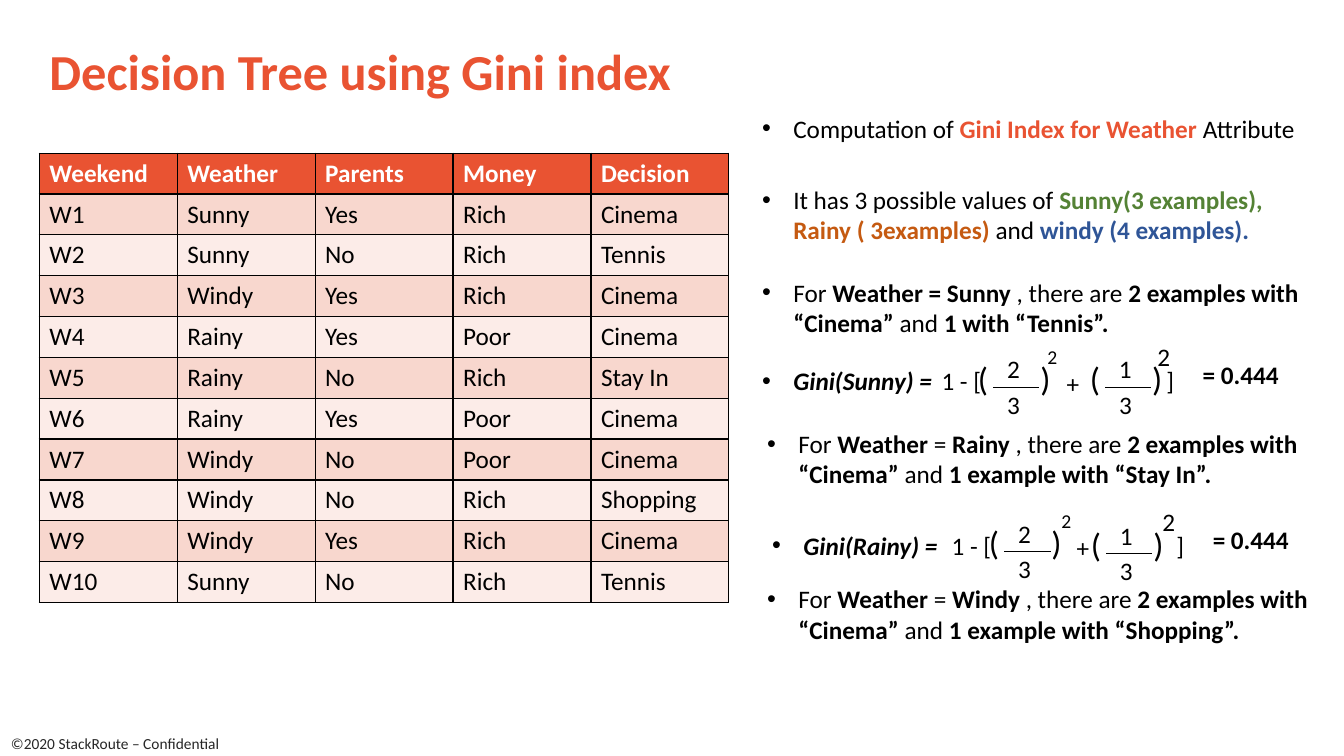
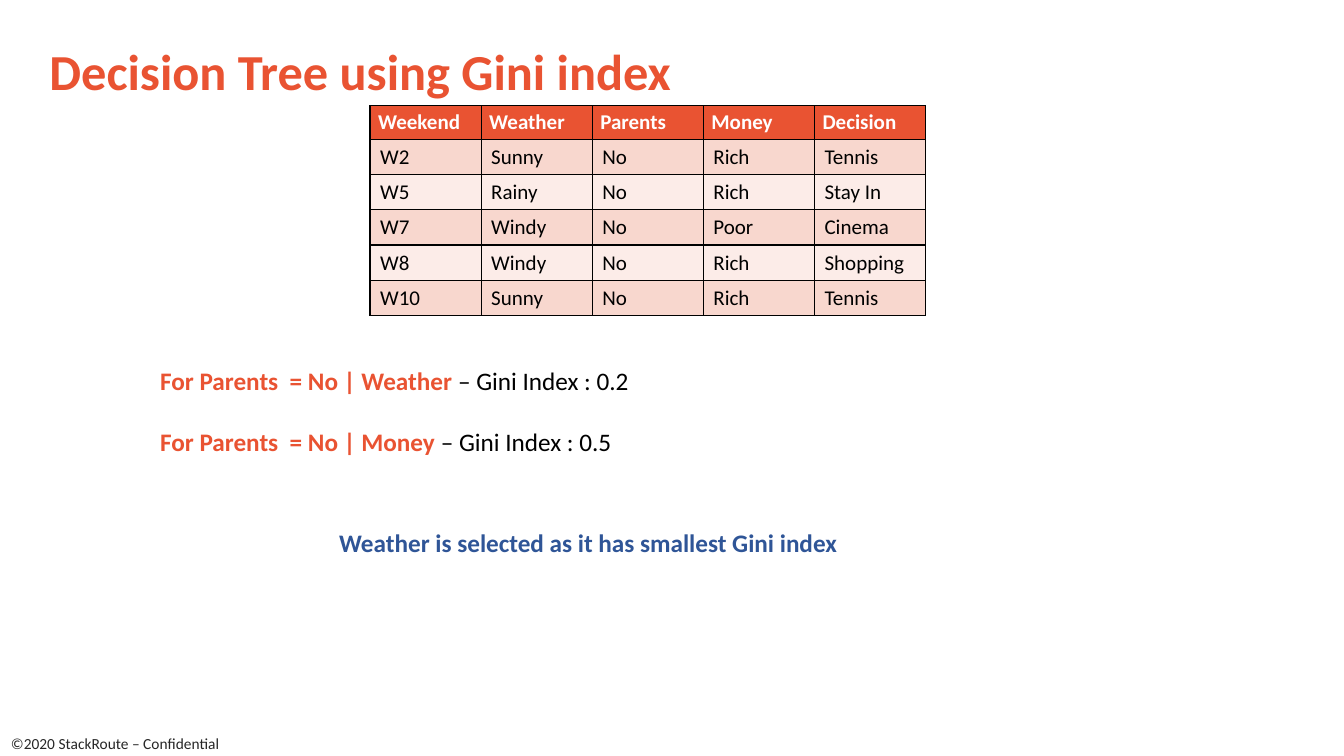
from lxml import etree
from pptx import Presentation
from pptx.dml.color import RGBColor
from pptx.enum.shapes import MSO_CONNECTOR
from pptx.enum.text import MSO_ANCHOR, MSO_AUTO_SIZE, PP_ALIGN
from pptx.oxml.ns import qn
from pptx.util import Inches, Pt

STRAIGHT = MSO_CONNECTOR.STRAIGHT
TOP = MSO_ANCHOR.TOP
GROW = MSO_AUTO_SIZE.SHAPE_TO_FIT_TEXT
LEFT, CENTER = PP_ALIGN.LEFT, PP_ALIGN.CENTER

ORANGE = RGBColor(0xE9, 0x53, 0x32)
DARK_BAND = RGBColor(0xF8, 0xD7, 0xCE)
LIGHT_BAND = RGBColor(0xFC, 0xEC, 0xE8)
GREEN = RGBColor(0x54, 0x82, 0x35)
RUST = RGBColor(0xC5, 0x5A, 0x11)
BLUE = RGBColor(0x2F, 0x55, 0x97)
BLACK = RGBColor(0, 0, 0)
WHITE = RGBColor(0xFF, 0xFF, 0xFF)
GRAY = RGBColor(0x26, 0x26, 0x26)

BODY = {"name": "Calibri", "size": Pt(18), "bold": False, "italic": False}
BOLD = {"bold": True}
TITLE = "Decision Tree using Gini index"
FOOTER = "©2020 StackRoute – Confidential"

HEADINGS = ("Weekend", "Weather", "Parents", "Money", "Decision")
WEEKENDS = (
    ("W1", "Sunny", "Yes", "Rich", "Cinema"),
    ("W2", "Sunny", "No", "Rich", "Tennis"),
    ("W3", "Windy", "Yes", "Rich", "Cinema"),
    ("W4", "Rainy", "Yes", "Poor", "Cinema"),
    ("W5", "Rainy", "No", "Rich", "Stay In"),
    ("W6", "Rainy", "Yes", "Poor", "Cinema"),
    ("W7", "Windy", "No", "Poor", "Cinema"),
    ("W8", "Windy", "No", "Rich", "Shopping"),
    ("W9", "Windy", "Yes", "Rich", "Cinema"),
    ("W10", "Sunny", "No", "Rich", "Tennis"),
)


class Deck:
    """Hold the shared style and the slide being built."""

    def __init__(self):
        self.presentation = Presentation()
        self.presentation.slide_width = Inches(13.33)
        self.presentation.slide_height = Inches(7.5)

    def new_slide(self):
        """Start a slide with its title and footer."""
        layout = self.presentation.slide_layouts[5]
        self.slide = self.presentation.slides.add_slide(layout)
        self.shapes = self.slide.shapes
        title = self.shapes.title
        frame = {"left": 0.39, "top": 0.35, "width": 11.57, "height": 0.71}
        for side, length in frame.items():
            setattr(title, side, Inches(length))
        self.frame(title.text_frame)
        heading = title.text_frame.paragraphs[0]
        heading.alignment = LEFT
        self.run(heading, TITLE, size=Pt(36), bold=True, color=ORANGE)
        self.text(0.01, 7.23, 2.29, 0.29, FOOTER, wrap=False,
                  size=Pt(11), color=GRAY)

    def frame(self, text_frame, wrap=True):
        """Set how a text frame wraps, grows and anchors."""
        values = {"word_wrap": wrap, "auto_size": GROW,
                  "vertical_anchor": TOP}
        for name, value in values.items():
            setattr(text_frame, name, value)

    def run(self, paragraph, words, color=BLACK, **changes):
        """Add one formatted run."""
        run = paragraph.add_run()
        run.text = words
        for name, value in {**BODY, **changes}.items():
            setattr(run.font, name, value)
        run.font.color.rgb = color

    def text(self, left, top, width, height, words, wrap=True, **changes):
        """Add a box with one uniformly formatted line."""
        return self.rich(left, top, width, height, [[(words, changes)]],
                         wrap)

    def rich(self, left, top, width, height, lines, wrap=True):
        """Add a box with one paragraph for each list of runs."""
        box = self.shapes.add_textbox(Inches(left), Inches(top),
                                      Inches(width), Inches(height))
        self.frame(box.text_frame, wrap)
        for index, runs in enumerate(lines):
            if index:
                paragraph = box.text_frame.add_paragraph()
                paragraph.space_before = Pt(22)
            else:
                paragraph = box.text_frame.paragraphs[0]
            for words, changes in runs:
                self.run(paragraph, words, **changes)
        return box

    def bullet(self, left, top, runs, width=5.68, height=0.71):
        """Add a box holding one bulleted paragraph."""
        box = self.rich(left, top, width, height, [runs])
        properties = box.text_frame.paragraphs[0]._p.get_or_add_pPr()
        properties.set("marL", str(Inches(0.31)))
        properties.set("indent", str(-Inches(0.31)))
        etree.SubElement(properties, qn("a:buFont"), typeface="Arial")
        etree.SubElement(properties, qn("a:buChar"), char="•")

    def table(self, left, top, width, height, rows, size, margins):
        """Add a banded table with a black grid."""
        grid = self.shapes.add_table(
            len(rows) + 1, len(HEADINGS), Inches(left), Inches(top),
            Inches(width), Inches(height)).table
        for r, row in enumerate([HEADINGS, *rows]):
            fill = (DARK_BAND if r % 2 else LIGHT_BAND) if r else ORANGE
            for c, words in enumerate(row):
                cell = grid.cell(r, c)
                if r == 0:
                    for side, length in margins.items():
                        setattr(cell, side, Inches(length))
                self.borders(cell)
                cell.fill.solid()
                cell.fill.fore_color.rgb = fill
                self.run(cell.text_frame.paragraphs[0], words,
                         size=Pt(size), bold=r == 0,
                         color=BLACK if r else WHITE)

    def borders(self, cell):
        """Draw a thin black line on every side of a cell."""
        properties = cell._tc.get_or_add_tcPr()
        for side in ("lnL", "lnR", "lnT", "lnB"):
            line = etree.SubElement(properties, qn(f"a:{side}"),
                                    w=str(Pt(1)))
            paint = etree.SubElement(line, qn("a:solidFill"))
            etree.SubElement(paint, qn("a:srgbClr"), val=str(BLACK))

    def fraction_bar(self, left, top):
        """Draw the bar between numerator and denominator."""
        bar = self.shapes.add_connector(
            STRAIGHT, Inches(left), Inches(top), Inches(left + 0.46),
            Inches(top))
        bar.line.color.rgb = BLACK
        bar.line.width = Pt(0.5)
        etree.SubElement(bar._element.spPr, qn("a:effectLst"))

    def squared_fraction(self, left, top, numerator, exponent):
        """Add a bracketed fraction over 3, raised to the power 2."""
        across, up, size = exponent
        self.text(left + 0.29, top - 0.04, 0.34, 0.4, numerator)
        self.text(left + 0.29, top + 0.31, 0.52, 0.4, "3")
        self.fraction_bar(left + 0.25, top + 0.34)
        self.text(left, top, 0.31, 0.5, "(", size=Pt(24))
        self.text(left + 0.62, top, 0.26, 0.5, ")", size=Pt(24))
        self.text(left + across, top - up, 0.5, 0.4, "2", size=Pt(size))

    def gini(self, left, top, weather, factors):
        """Add the grouped Gini formula of one kind of weather."""
        self.shapes = self.slide.shapes.add_group_shape().shapes
        self.bullet(left, top,
                    [(f"Gini({weather}) =", {"bold": True, "italic": True})],
                    2.01, 0.4)
        self.text(left + 1.78, top, 0.6, 0.4, "1 - [")
        self.text(left + 3.02, top + 0.02, 0.64, 0.4, "+")
        self.text(left + 4.01, top, 0.64, 0.4, "]")
        self.text(left + 4.37, top - 0.06, 1.19, 0.4, "= 0.444", bold=True)
        for factor in factors:
            self.squared_fraction(*factor)
        self.shapes = self.slide.shapes


def examples(opening, other):
    """Return the runs that count the examples of one kind of weather."""
    return [("For ", {}), *opening, (" , there are ", {}),
            ("2 examples with “Cinema”", BOLD), (" and ", {}), (other, BOLD)]


def weather_is(kind):
    """Return the runs that name one kind of weather."""
    return [("Weather", BOLD), (" = ", {}), (kind, BOLD)]


def weather_slide(deck):
    """Build the slide that computes the Gini index for weather."""
    deck.new_slide()
    deck.table(0.39, 1.52, 6.84, 4.46, WEEKENDS, 18, {})
    deck.bullet(7.46, 1.07, [
        ("Computation of ", {}),
        ("Gini Index for Weather", {"bold": True, "color": ORANGE}),
        (" Attribute", {})])
    deck.bullet(7.46, 1.78, [
        ("It has 3 possible values of ", {}),
        ("Sunny(3 examples), ", {"bold": True, "color": GREEN}),
        ("Rainy ( 3examples) ", {"bold": True, "color": RUST}),
        ("and ", {}),
        ("windy (4 examples).", {"bold": True, "color": BLUE})])
    deck.bullet(7.46, 2.7, examples([("Weather = Sunny", BOLD)],
                                    "1 with “Tennis”."))
    deck.gini(7.46, 3.58, "Sunny", [
        (9.6, 3.5, "2", (0.69, 0.13, 14)),
        (10.71, 3.5, "1", (0.67, 0.16, 18))])
    deck.bullet(7.51, 4.2, examples(weather_is("Rainy"),
                                    "1 example with “Stay In”."))
    deck.gini(7.56, 5.21, "Rainy", [
        (9.71, 5.13, "2", (0.72, 0.13, 14)),
        (10.72, 5.15, "1", (0.71, 0.18, 18))])
    deck.bullet(7.51, 5.74, examples(weather_is("Windy"),
                                     "1 example with “Shopping”."))


def parents_slide(deck):
    """Build the slide that compares the splits for Parents = No."""
    deck.new_slide()
    without_parents = [row for row in WEEKENDS if row[2] == "No"]
    deck.table(3.67, 1.05, 5.51, 1.98, without_parents, 15,
               {"margin_left": 0.08, "margin_right": 0.08,
                "margin_top": 0.04, "margin_bottom": 0.04})
    deck.rich(1.49, 3.57, 7.2, 1.62, [
        [(f"For Parents  = No | {attribute} ",
          {"bold": True, "color": ORANGE}),
         (f"– Gini Index : {index}", {})]
        for attribute, index in (("Weather", 0.2), ("Money", 0.5))])
    conclusion = deck.text(
        2.49, 5.18, 6.69, 0.4,
        "Weather is selected as it has smallest Gini index",
        bold=True, color=BLUE)
    conclusion.text_frame.paragraphs[0].alignment = CENTER


def main():
    """Build and save both slides."""
    deck = Deck()
    weather_slide(deck)
    parents_slide(deck)
    deck.presentation.save("out.pptx")


if __name__ == "__main__":
    main()
